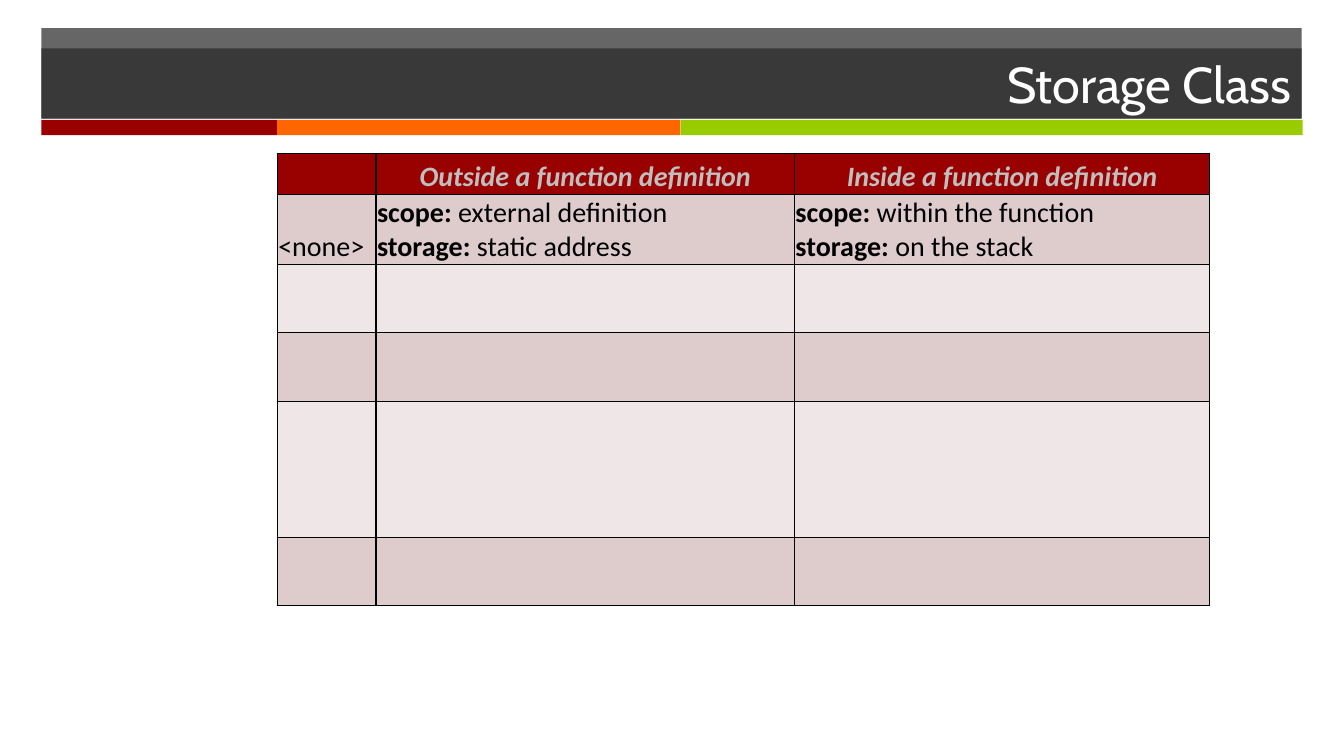
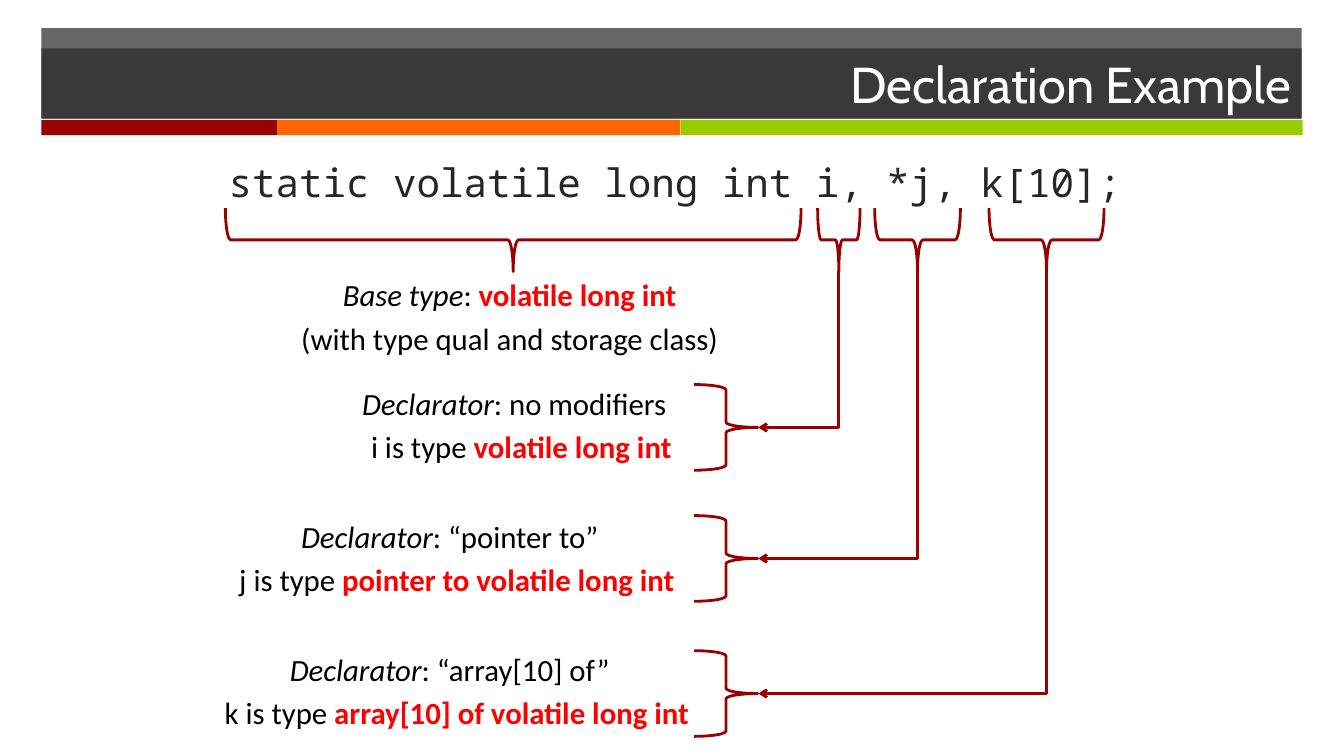
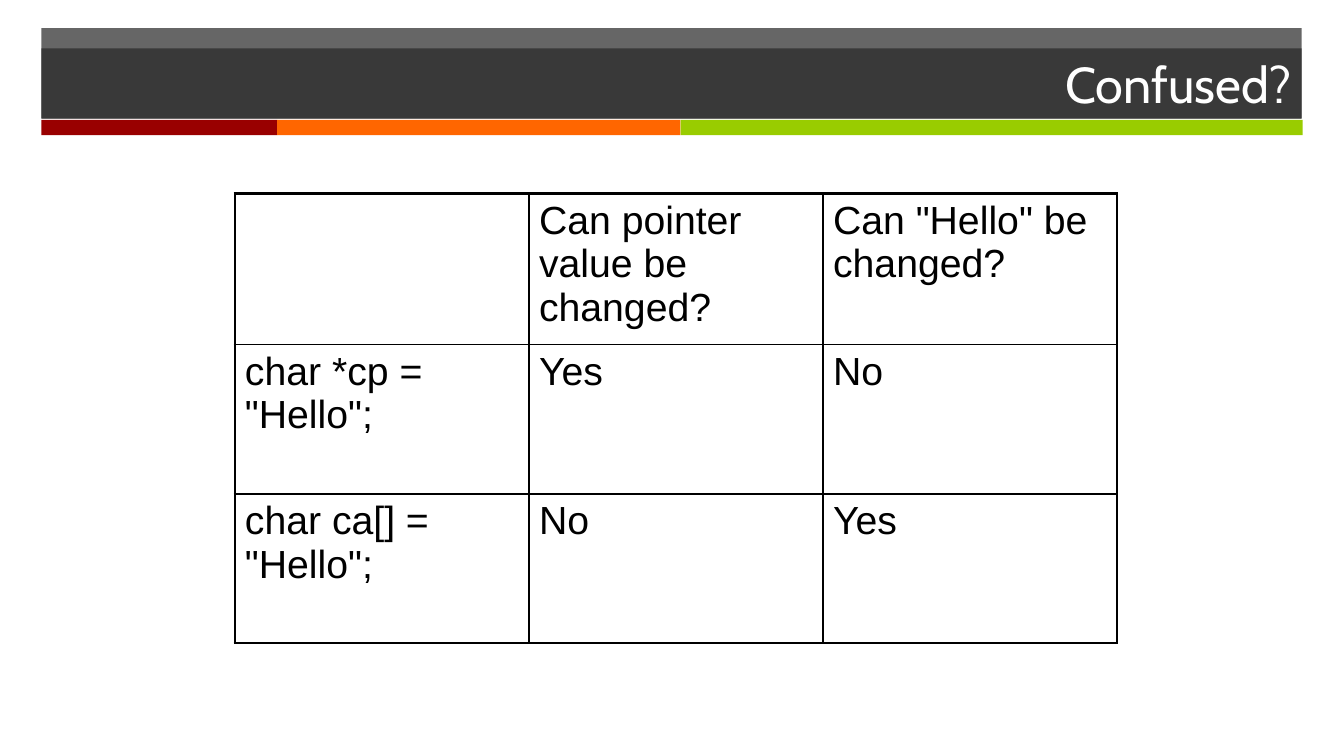
from dataclasses import dataclass

from lxml import etree
from pptx import Presentation, util as u
from pptx.dml import color as dml
from pptx.enum import shapes, text
from pptx.oxml import ns

Inches = u.Inches


@dataclass(frozen=True)
class Theme:
    dark: str = "262626"
    white: str = "FFFFFF"
    black: str = "000000"
    gray: str = "BFBFBF"
    maroon: str = "990000"
    orange: str = "FF6600"
    green: str = "99CC00"
    red: str = "FF0000"
    bands: tuple = ("DECCCC", "EFE7E7")
    head: str = "Cabin"
    body: str = "Calibri"
    code: str = "Noto Sans Mono"
    plain: str = "Arial"
    title: int = 36
    large: int = 28
    note: int = 22
    cell: int = 20


T = Theme()
BOLD = {"bold": True}
ITALIC = {"italic": True}
KEY = {"bold": True, "color": T.red}


# Text and fills
def rgb(code):
    return dml.RGBColor.from_string(code)


def write(frame, *paras, size, font, color=T.black, bold=False, italic=False,
          align=text.PP_ALIGN.LEFT, before=0, indent=0):
    """Fill a frame; a paragraph is a list of strings or (string, format)."""
    frame.word_wrap = True
    for n, items in enumerate(paras):
        para = frame.add_paragraph() if n else frame.paragraphs[0]
        para.alignment = align
        if n:
            para.space_before = u.Pt(before)
            para._p.get_or_add_pPr().set("marL", str(Inches(indent)))
        for item in items:
            if item == "\n":
                para.add_line_break()
                continue
            words, own = (item, {}) if isinstance(item, str) else item
            run = para.add_run()
            run.text = words
            run.font.size = u.Pt(size)
            run.font.name = font
            run.font.bold = own.get("bold", bold)
            run.font.italic = own.get("italic", italic)
            run.font.color.rgb = rgb(own.get("color", color))


def paint(shape, color, alpha=None):
    shape.fill.solid()
    shape.fill.fore_color.rgb = rgb(color)
    if alpha:
        tint = next(shape.element.spPr.iter(ns.qn("a:srgbClr")))
        etree.SubElement(tint, ns.qn("a:alpha")).set("val", str(alpha * 1000))


# Shared frame
def dress(slide):
    """Draw the bands and move them to the layout, below its placeholders."""
    bands = [(0.41, 0.28, 12.5, 0.89, T.dark, 70),
             (0.41, 1.19, 2.34, 0.15, T.maroon, None),
             (2.75, 1.19, 4, 0.15, T.orange, None),
             (6.75, 1.19, 6.17, 0.15, T.green, None)]
    tree = slide.slide_layout.shapes.element
    for n, (*box, color, alpha) in enumerate(bands):
        band = slide.shapes.add_shape(shapes.MSO_SHAPE.RECTANGLE, *map(Inches, box))
        band.shadow.inherit = False
        band.line.fill.background()
        paint(band, color, alpha)
        tree.insert(2 + n, band.element)


def start(deck, name):
    slide = deck.slides.add_slide(deck.slide_layouts[5])
    title = slide.shapes.title
    title.left, title.top, title.width, title.height = map(
        Inches, (0.41, 0.48, 12.5, 0.7))
    paint(title, T.dark, 70)
    frame = title.text_frame
    frame.auto_size = text.MSO_AUTO_SIZE.NONE
    frame.vertical_anchor = text.MSO_ANCHOR.MIDDLE
    write(frame, [name], size=T.title, font=T.head, color=T.white,
          align=text.PP_ALIGN.RIGHT)
    return slide


# Tables
def edge(cell, side, width):
    line = etree.SubElement(cell._tc.get_or_add_tcPr(), ns.qn("a:ln" + side))
    line.set("w", str(u.Pt(width)))
    fill = etree.SubElement(line, ns.qn("a:solidFill"))
    etree.SubElement(fill, ns.qn("a:srgbClr")).set("val", T.black)


def grid(slide, left, top, cols, rows, outer=1):
    """Add a plain ruled table with its own width for the outer edges."""
    box = map(Inches, (left, top, sum(cols), sum(rows)))
    table = slide.shapes.add_table(len(rows), len(cols), *box).table
    table.first_row = table.horz_banding = False
    for col, width in zip(table.columns, cols):
        col.width = Inches(width)
    for row, height in zip(table.rows, rows):
        row.height = Inches(height)
    for r in range(len(rows)):
        for c in range(len(cols)):
            cell = table.cell(r, c)
            ends = {"L": c == 0, "R": c == len(cols) - 1,
                    "T": r == 0, "B": r == len(rows) - 1}
            for side, end in ends.items():
                edge(cell, side, outer if end else 1)
            cell.fill.background()
    return table


# Braces and arrows
def brace(slide, mid, middle, length, turn):
    """Add a brace around a centre point, turned by some degrees."""
    deep = 0.63
    box = (mid - deep / 2, middle - length / 2, deep, length)
    shape = slide.shapes.add_shape(shapes.MSO_SHAPE.LEFT_BRACE, *map(Inches, box))
    shape.rotation = turn
    shape.shadow.inherit = False
    shape.fill.background()
    shape.line.color.rgb = rgb(T.maroon)
    shape.line.width = u.Pt(2)


def arrow(slide, x, y, end, low):
    """Add an elbow arrow that runs down from x, y and then left."""
    mid, middle = (x + end) / 2, (y + low) / 2
    wide, high = (low - y) / 2, (x - end) / 2
    box = (mid - wide, middle - high, mid + wide, middle + high)
    link = slide.shapes.add_connector(shapes.MSO_CONNECTOR.ELBOW, *map(Inches, box))
    link.line.color.rgb = rgb(T.maroon)
    link.line.width = u.Pt(2)
    props = link.element.spPr
    props.find(ns.qn("a:prstGeom")).set("prst", "bentConnector2")
    props.find(ns.qn("a:xfrm")).set("rot", str(90 * 60000))
    line = props.find(ns.qn("a:ln"))
    etree.SubElement(line, ns.qn("a:tailEnd")).set("type", "arrow")
    etree.SubElement(props, ns.qn("a:effectLst"))


def label(slide, box, *paras, **style):
    shape = slide.shapes.add_textbox(*map(Inches, box))
    write(shape.text_frame, *paras, **style)


# Slides
def storage(deck):
    slide = start(deck, "Storage Class")
    dress(slide)
    table = grid(slide, 2.75, 1.52, (0.98, 4.15, 4.12),
                 (0.41, 0.68, 0.68, 0.68, 1.35, 0.68))
    for r, row in enumerate(table.rows):
        for cell in row.cells:
            cell.margin_left = cell.margin_right = cell.margin_top = Inches(0.01)
            cell.margin_bottom = 0
            cell.vertical_anchor = text.MSO_ANCHOR.BOTTOM
            cell.fill.solid()
            cell.fill.fore_color.rgb = rgb(T.bands[(r - 1) % 2] if r else T.maroon)
    for c, place in enumerate(("Outside", "Inside"), 1):
        write(table.cell(0, c).text_frame, [place + " a function definition"],
              size=T.cell, font=T.body, color=T.gray, bold=True, italic=True,
              align=text.PP_ALIGN.CENTER)
    facts = [["<none>"]]
    for scope, store in (("external definition", "static address"),
                         ("within the function", "on the stack")):
        facts.append([("scope:", BOLD), " " + scope, "\n",
                      ("storage:", BOLD), " " + store])
    for c, fact in enumerate(facts):
        write(table.cell(1, c).text_frame, fact, size=T.cell, font=T.body)


def example(deck):
    slide = start(deck, "Declaration Example")
    label(slide, (2.17, 1.52, 9.17, 0.64),
          ["static volatile long int i, *j, k[10];"],
          size=T.large, font=T.code, color=T.dark)

    # Base type
    note = dict(size=T.note, font=T.body, align=text.PP_ALIGN.CENTER,
                before=T.note * 0.2)
    kind = "volatile long int"
    brace(slide, 5.09, 2.38, 5.71, 270)
    label(slide, (2.17, 2.69, 5.77, 0.85),
          [("Base type", ITALIC), ": ", (kind, KEY)],
          ["(with type qual and storage class)"], **note)

    # Declarators: name, modifier, prefix, text box, brace centre and length
    parts = [("i", "no modifiers", "", (2.26, 3.77, 5.68, 0.89), 8.32, 0.42, 4.24),
             ("j", "“pointer to”", "pointer to ", (1.87, 5.09, 5.18, 0.89),
              9.1, 0.85, 5.54),
             ("k", "“array[10] of”", "array[10] of ", (1.87, 6.41, 5.18, 0.89),
              10.38, 1.14, 6.88)]
    for name, change, prefix, box, x, length, y in parts:
        label(slide, box, [("Declarator", ITALIC), ": " + change],
              [name + " is type ", (prefix + kind, KEY)], indent=0.14, **note)
        brace(slide, x, 2.38, length, 270)
        brace(slide, 7.2, y, 0.85, 180)
        arrow(slide, x, 2.69, 7.52, y)


def confused(deck):
    slide = start(deck, "Confused?")
    table = grid(slide, 2.33, 1.92, [8.75 / 3] * 3, (1.5, 1.48, 1.48), outer=2.25)
    rows = [("", "Can pointer value be changed?", 'Can "Hello" be changed?'),
            ('char *cp = "Hello";', "Yes", "No"),
            ('char ca[] = "Hello";', "No", "Yes")]
    for r, row in enumerate(rows):
        for c, words in enumerate(row):
            if words:
                write(table.cell(r, c).text_frame, [words],
                      size=T.large, font=T.plain)


def main():
    deck = Presentation()
    deck.slide_width, deck.slide_height = Inches(13.33), Inches(7.5)
    storage(deck)
    example(deck)
    confused(deck)
    deck.save("out.pptx")


if __name__ == "__main__":
    main()
